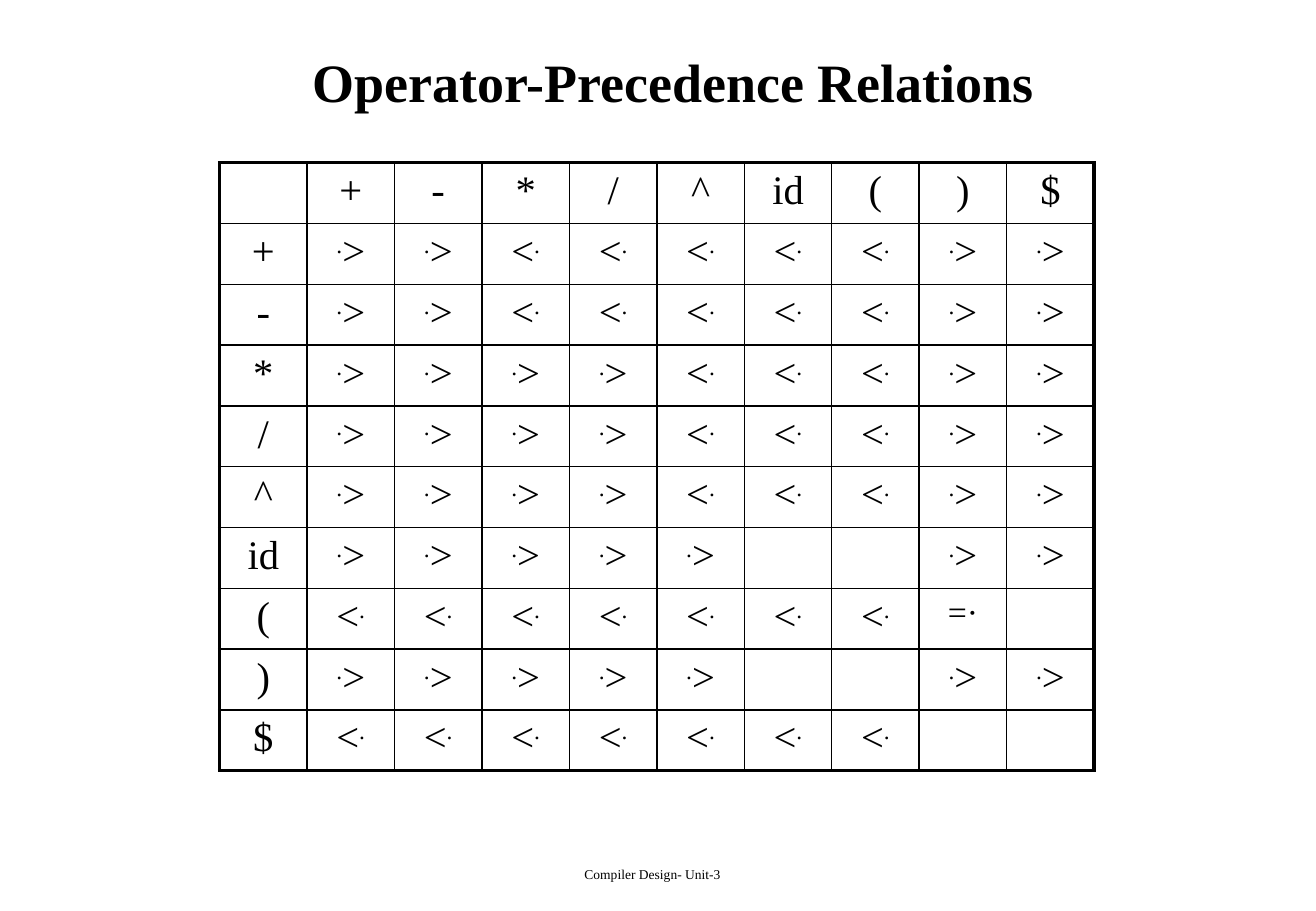
from lxml import etree
from pptx import Presentation
from pptx import util as u
from pptx.dml.color import RGBColor
from pptx.enum import text
from pptx.oxml import ns

BLACK = RGBColor(0, 0, 0)
WHITE = RGBColor(255, 255, 255)
COLUMN, ROW = 0.72, 0.5
THIN, THICK = 1, 2.25

SYMBOLS = ["+", "-", "*", "/", "^", "id", "(", ")", "$"]
RELATIONS = [
    ">><<<<<>>",
    ">><<<<<>>",
    ">>>><<<>>",
    ">>>><<<>>",
    ">>>><<<>>",
    ">>>>>  >>",
    "<<<<<<<= ",
    ">>>>>  >>",
    "<<<<<<<  ",
]
SPANS = {
    ">": [(".", 24, 30), (">", 24, 0)],
    "<": [("<", 24, 0), (".", 24, 30)],
    "=": [("=·", 20, 0)],
    " ": [],
}


class PrecedencePage:
    font = "Times New Roman"

    def __init__(self, deck):
        self.page = deck.slides.add_slide(deck.slide_layouts[5])
        self.page.background.fill.solid()
        self.page.background.fill.fore_color.rgb = WHITE

    def place(self, column, row, columns, rows):
        return [u.Inches(n) for n in (column * COLUMN, row * ROW, columns * COLUMN, rows * ROW)]

    def add_spans(self, frame, spans, bold=False):
        para = frame.paragraphs[0]
        para.alignment = text.PP_ALIGN.CENTER
        for words, size, raised in spans:
            span = para.add_run()
            span.text = words
            span.font.name = self.font
            span.font.size = u.Pt(size)
            span.font.bold = bold
            span.font.color.rgb = BLACK
            if raised:
                span._r.get_or_add_rPr().set("baseline", str(raised * 1000))

    def title(self, words, *area):
        box = self.page.shapes.title
        box.left, box.top, box.width, box.height = self.place(*area)
        box.text_frame.auto_size = text.MSO_AUTO_SIZE.NONE
        box.text_frame.vertical_anchor = text.MSO_ANCHOR.MIDDLE
        self.add_spans(box.text_frame, [(words, 32, 0)], bold=True)

    def label(self, words, size, *area):
        box = self.page.shapes.add_textbox(*self.place(*area))
        box.text_frame.word_wrap = True
        self.add_spans(box.text_frame, [(words, size, 0)])

    def border(self, cell, widths):
        properties = cell._tc.get_or_add_tcPr()
        for index, (side, width) in enumerate(zip("LRTB", widths)):
            line = etree.Element(ns.qn(f"a:ln{side}"), w=str(u.Pt(width)))
            fill = etree.SubElement(line, ns.qn("a:solidFill"))
            etree.SubElement(fill, ns.qn("a:srgbClr"), val=str(BLACK))
            properties.insert(index, line)

    def table(self, rows, column, row):
        count, last = len(rows), len(rows) - 1
        area = self.place(column, row, count, count)
        table = self.page.shapes.add_table(count, count, *area).table
        table.first_row = table.horz_banding = False
        for i, cells in enumerate(rows):
            table.rows[i].height = u.Inches(ROW)
            table.columns[i].width = u.Inches(COLUMN)
            for j, spans in enumerate(cells):
                cell = table.cell(i, j)
                cell.fill.background()
                edges = (j == 0, j == last, i == 0, i == last)
                self.border(cell, [THICK if edge else THIN for edge in edges])
                self.add_spans(cell.text_frame, spans)


def main():
    deck = Presentation()
    deck.slide_width, deck.slide_height = u.Inches(10.83), u.Inches(7.5)
    slide = PrecedencePage(deck)
    slide.label("Compiler Design- Unit-3", 8, 4.64, 14.16, 5.64, 0.5)
    slide.title("Operator-Precedence Relations", 0.58, 0.34, 14.24, 2)
    headings = [[(symbol, 24, 0)] for symbol in SYMBOLS]
    rows = [[[]] + headings]
    for heading, relations in zip(headings, RELATIONS):
        rows.append([heading] + [SPANS[relation] for relation in relations])
    slide.table(rows, 2.51, 2.68)
    deck.save("out.pptx")


if __name__ == "__main__":
    main()
